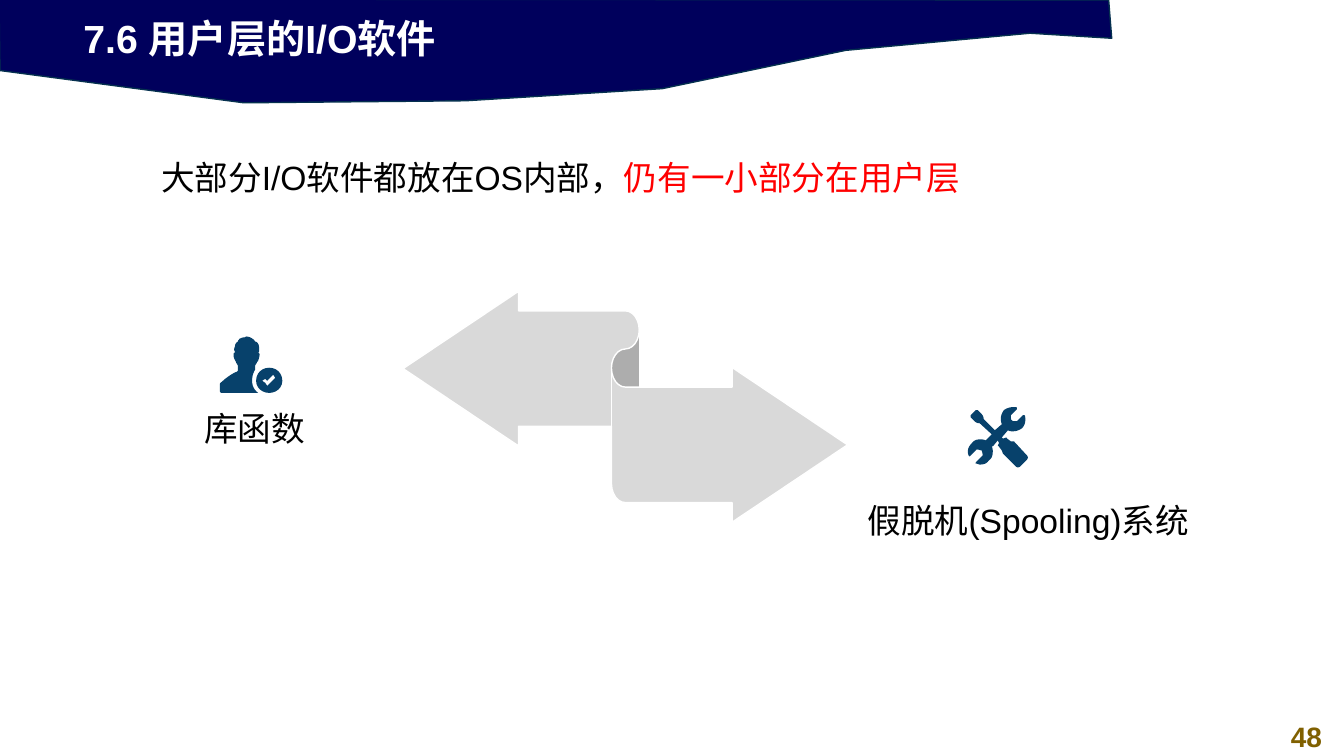
from pptx import Presentation
from pptx.dml.color import RGBColor
from pptx.enum.shapes import MSO_SHAPE as Preset
from pptx.enum.text import MSO_ANCHOR as Anchor, MSO_AUTO_SIZE as AutoSize, PP_ALIGN as Align
from pptx.util import Cm, Pt

NAVY = RGBColor(0x00, 0x00, 0x5C)
BANNER_EDGE = RGBColor(0x05, 0x30, 0x4F)
ICON_BLUE = RGBColor(0x07, 0x41, 0x6B)
RIBBON_GREY = RGBColor(0xD9, 0xD9, 0xD9)
GOLD = RGBColor(0x80, 0x60, 0x00)
RED = RGBColor(0xFF, 0x00, 0x00)
BLACK = RGBColor(0x00, 0x00, 0x00)
WHITE = RGBColor(0xFF, 0xFF, 0xFF)

FONT = "Arial"
GRID = Cm(0.0254)  # one step of the outline drawings
CURVE_STEPS = 6

# Outlines: a pair is a straight line to a point, six numbers are a Bezier curve
BANNER = [[(-1, -1), (0, 70), (242, 102), (462, 100), (657, 88), (839, 50),
           (1022, 33), (1103, 38), (1100, 0)]]

USER_TICK = [(53, 38), (47, 44), (45, 42), (42, 44), (45, 46), (47, 49), (50, 46), (55, 41)]
USER_BADGE = [(49, 31), (56, 31, 62, 36, 62, 44), (62, 51, 56, 56, 49, 56),
              (42, 56, 36, 51, 36, 44), (36, 36, 42, 31, 49, 31)]
USER_BODY = [
    (26, 0), (28, 0, 31, 1, 32, 2), (34, 3, 35, 5, 35, 5), (35, 5, 40, 5, 39, 15),
    (38, 16), (39, 16, 40, 17, 39, 21), (38, 24, 38, 25, 37, 25), (37, 26, 36, 27, 35, 29),
    (35, 33), (33, 36, 32, 40, 32, 44), (32, 49, 34, 53, 38, 56),
    (2, 56), (1, 56, 0, 55, 0, 54), (0, 49), (0, 47, 0, 46, 2, 45),
    (8, 39, 16, 35, 17, 35), (18, 34), (18, 29), (17, 27, 16, 26, 16, 25),
    (16, 25, 15, 24, 14, 21), (13, 17, 14, 16, 15, 16), (15, 15),
    (14, 14, 14, 12, 15, 10), (15, 8, 16, 6, 18, 5), (18, 4, 19, 3, 20, 2),
    (21, 2, 22, 1, 23, 1), (24, 1, 25, 1, 26, 0)]
USER = [USER_TICK, USER_BADGE, USER_BODY]

TOOLS = [[
    (60, 48), (47, 34), (44, 34), (40, 31), (40, 30, 39, 30, 37, 31), (36, 31), (35, 30),
    (41, 23), (43, 24, 44, 24, 46, 24), (49, 24, 52, 23, 55, 21), (58, 18, 59, 13, 58, 9),
    (58, 8, 57, 8, 57, 8), (56, 8), (50, 14), (49, 14), (47, 14, 45, 14, 45, 13),
    (44, 13, 44, 11, 44, 9), (44, 8), (50, 2), (50, 1, 50, 0, 49, 0), (46, 0),
    (43, 0, 40, 1, 37, 3), (34, 7, 33, 12, 35, 17), (28, 23), (17, 12),
    (17, 10, 16, 8, 15, 7), (11, 3), (9, 3), (4, 8), (4, 10), (8, 14),
    (9, 15, 11, 16, 12, 16), (13, 16), (25, 27), (19, 33), (17, 32, 15, 32, 13, 32),
    (10, 32, 7, 33, 5, 36), (2, 39, 0, 43, 2, 48), (3, 49), (4, 48), (10, 42),
    (12, 42, 14, 43, 15, 43), (15, 43, 16, 46, 16, 48), (15, 49), (10, 54),
    (9, 55, 9, 55, 9, 56), (10, 56), (13, 57), (17, 57, 20, 56, 22, 53),
    (25, 51, 26, 48, 26, 44), (26, 43, 26, 41, 25, 39), (26, 39), (31, 33), (32, 35),
    (32, 36), (31, 38), (32, 39), (35, 43), (36, 46), (49, 59),
    (50, 60, 52, 60, 53, 59), (60, 52), (61, 51, 61, 49, 60, 48)]]


def flatten(contour):
    """Turn a contour's lines and curves into points."""
    points = [contour[0]]
    for segment in contour[1:]:
        if len(segment) == 2:
            points.append(segment)
            continue
        start, (ax, ay, bx, by, x, y) = points[-1], segment
        for step in range(1, CURVE_STEPS + 1):
            t = step / CURVE_STEPS
            weights = ((1 - t) ** 3, 3 * t * (1 - t) ** 2, 3 * t * t * (1 - t), t ** 3)
            points.append((sum(w * v for w, v in zip(weights, (start[0], ax, bx, x))),
                           sum(w * v for w, v in zip(weights, (start[1], ay, by, y)))))
    return [(px * GRID, py * GRID) for px, py in points]


def paint(figure, fill, edge=None):
    figure.shadow.inherit = False
    figure.fill.solid()
    figure.fill.fore_color.rgb = fill
    if edge is None:
        figure.line.fill.background()
    else:
        figure.line.color.rgb = edge
        figure.line.width = Pt(1)


def draw_outline(slide, contours, left, top, fill, edge=None):
    first, *others = [flatten(contour) for contour in contours]
    builder = slide.shapes.build_freeform(*first[0], scale=1.0)
    builder.add_line_segments(first[1:], close=True)
    for points in others:
        builder.move_to(*points[0])
        builder.add_line_segments(points[1:], close=True)
    paint(builder.convert_to_shape(left, top), fill, edge)


def write(paragraph, runs, size, bold=False):
    for wording, color in runs:
        run = paragraph.add_run()
        run.text = wording
        run.font.name = FONT
        run.font.size = Pt(size)
        run.font.bold = bold
        run.font.color.rgb = color


def add_text(slide, box, runs, size=24, bold=False, align=Align.LEFT, spacing=1.0):
    frame = slide.shapes.add_textbox(*box).text_frame
    frame.word_wrap = True
    paragraph = frame.paragraphs[0]
    paragraph.alignment = align
    paragraph.line_spacing = spacing
    write(paragraph, runs, size, bold)


def add_header(slide, left, top, heading):
    draw_outline(slide, BANNER, left, top, NAVY, BANNER_EDGE)
    title = slide.shapes.title
    title.element.getparent().append(title.element)  # in front of the banner
    title.left, title.top = left + Cm(1.85), top + Cm(0.23)
    title.width, title.height = Cm(19.51), Cm(1.45)
    frame = title.text_frame
    frame.auto_size = AutoSize.NONE
    frame.vertical_anchor = Anchor.MIDDLE
    frame.paragraphs[0].alignment = Align.LEFT
    write(frame.paragraphs[0], [(heading, WHITE)], 28, bold=True)


def add_ribbon(slide, left, top, width, height):
    ribbon = slide.shapes.add_shape(Preset.LEFT_RIGHT_RIBBON, left, top, width, height)
    for index, value in enumerate((0.5, 0.5, 0.33)):
        ribbon.adjustments[index] = value
    paint(ribbon, RIBBON_GREY, WHITE)


def add_topic(slide, left, top, width, height, label, spacing, icon, icon_dx, icon_dy):
    """A label with its icon above it."""
    draw_outline(slide, icon, left + icon_dx, top - icon_dy, ICON_BLUE)
    add_text(slide, (left, top, width, height), [(label, BLACK)], spacing=spacing)


def main():
    deck = Presentation()
    deck.slide_width, deck.slide_height = Cm(33.87), Cm(19.05)
    slide = deck.slides.add_slide(deck.slide_layouts[5])

    # Header and page number
    add_header(slide, Cm(0), Cm(0), "7.6 用户层的I/O软件")
    add_text(slide, (Cm(32), Cm(18.01), Cm(1.85), Cm(1.12)), [("48", GOLD)],
             size=20, bold=True, align=Align.CENTER)

    # Opening statement
    add_text(slide, (Cm(3.81), Cm(3.84), Cm(22.23), Cm(1.09)),
             [("大部分I/O软件都放在OS内部，", BLACK), ("仍有一小部分在用户层", RED)])

    # The two kinds of user-level software
    add_ribbon(slide, Cm(10.16), Cm(7.34), Cm(11.2), Cm(5.82))
    add_topic(slide, Cm(4.9), Cm(10.26), Cm(3.3), Cm(1.07), "库函数", 0.9,
              USER, Cm(0.64), Cm(1.78))
    add_topic(slide, Cm(21.62), Cm(12.14), Cm(8.9), Cm(2.34), "假脱机(Spooling)系统", 1.32,
              TOOLS, Cm(2.74), Cm(1.88))

    deck.save("out.pptx")


if __name__ == "__main__":
    main()
